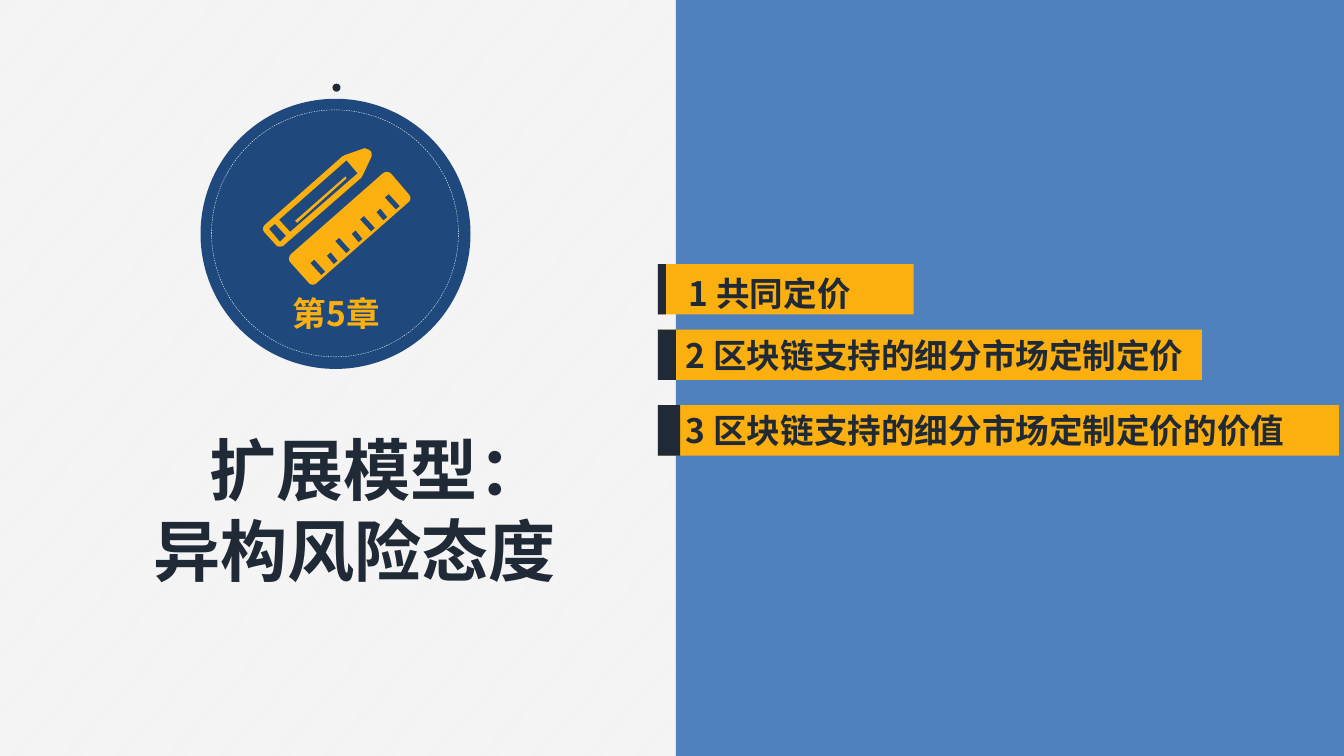
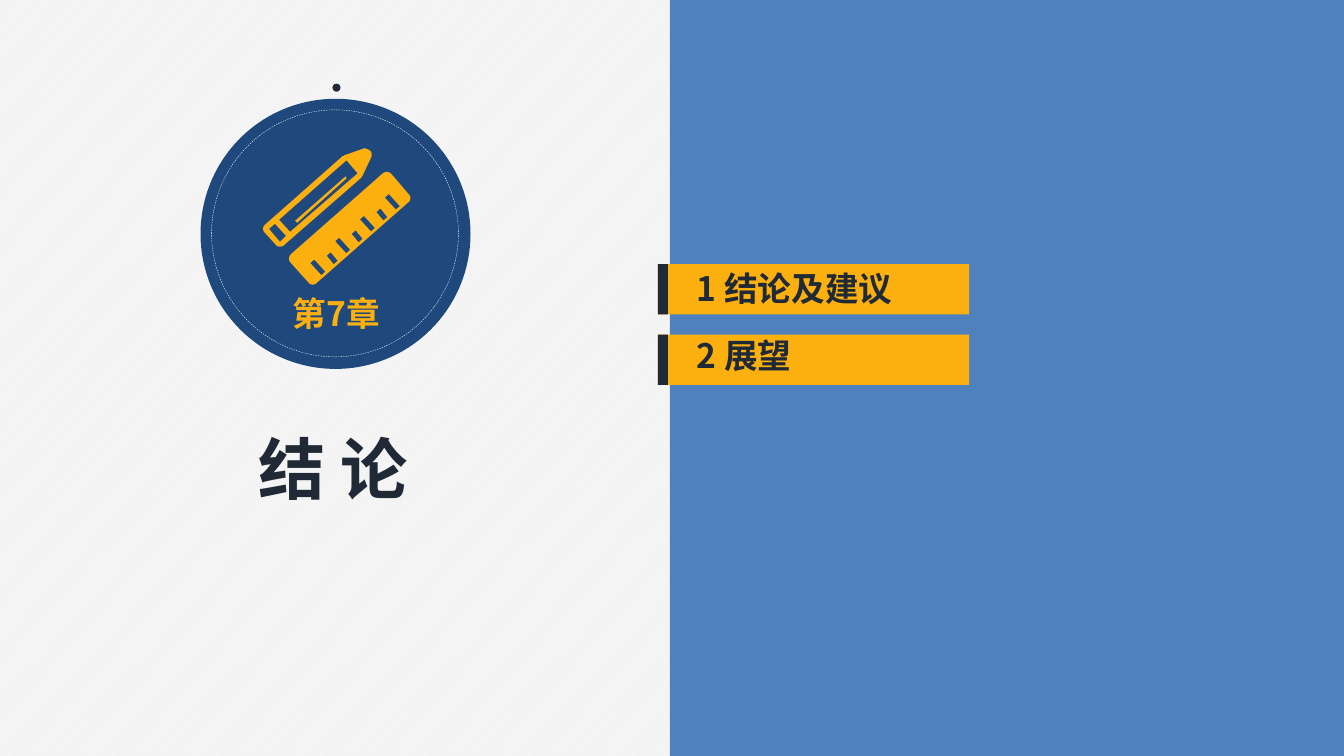
"""Build two chapter divider slides with a badge, a title and a list of topics."""
from dataclasses import dataclass

from lxml import etree
from pptx import Presentation
from pptx.dml.color import RGBColor
from pptx.enum.dml import MSO_LINE, MSO_PATTERN
from pptx.enum.shapes import MSO_SHAPE
from pptx.enum.text import MSO_ANCHOR, MSO_AUTO_SIZE, PP_ALIGN
from pptx.oxml.ns import qn
from pptx.util import Pt

RECT, OVAL = MSO_SHAPE.RECTANGLE, MSO_SHAPE.OVAL
LEFT, MID = PP_ALIGN.LEFT, PP_ALIGN.CENTER
TOP, CENTER = MSO_ANCHOR.TOP, MSO_ANCHOR.MIDDLE
DASH, STRIPE = MSO_LINE.DASH, MSO_PATTERN.LIGHT_UPWARD_DIAGONAL
FIXED = MSO_AUTO_SIZE.NONE
PX = 9144
WIDE, HIGH = 1334, 750
BAR_X, BAR_H = 653, 50
FINE = 10
STEPS = 6


@dataclass(frozen=True)
class Theme:
    """Colours, font and type sizes."""
    white: str = "FFFFFF"
    paper: str = "F2F2F2"
    blue: str = "4F81BD"
    navy: str = "1F497D"
    gold: str = "FCB00F"
    ink: str = "202A36"
    font: str = "Noto Sans CJK SC"
    head: int = 48
    body: int = 24


@dataclass(frozen=True)
class Topic:
    """One bar of the list, with its text place."""
    text: str
    top: int
    width: int
    tab: int
    text_x: int
    text_y: int


THEME = Theme()

PENCIL = [
    (274, 243), (263, 231), (260, 228, 261, 225, 263, 223), (340, 155),
    (341, 155, 342, 154, 342, 154), (362, 147),
    (364, 148, 366, 148, 368, 150), (369, 151, 369, 154, 369, 155),
    (360, 174), (359, 175, 359, 176, 359, 176), (281, 244),
    (279, 245, 275, 245, 274, 243),
]
RULER = [
    (306, 280), (288, 260), (286, 257, 287, 254, 289, 252), (380, 172),
    (383, 170, 385, 170, 388, 172), (406, 193),
    (408, 195, 408, 199, 405, 201), (314, 281),
    (312, 283, 308, 283, 306, 280),
]
BODY = [(355, 172), (344, 159), (277, 218), (288, 230)]
LEAD = [(295, 221), (293, 219), (343, 175), (344, 177)]
CAP = [(284, 234), (273, 222), (267, 227), (278, 240)]


def color(code):
    """Turn a hex code into a colour."""
    return RGBColor.from_string(code)


def emu(*sizes):
    """Turn px into EMU."""
    return [size * PX for size in sizes]


def shape(slide, kind, box, fill=None, line=None):
    """Add a flat preset shape."""
    item = slide.shapes.add_shape(kind, *emu(*box))
    paint(item, fill, line)
    return item


def paint(item, fill, line=None):
    """Set the fill and the line of a shape, without shadow."""
    item.shadow.inherit = False
    if fill:
        item.fill.solid()
        item.fill.fore_color.rgb = color(fill)
    else:
        item.fill.background()
    if line:
        item.line.color.rgb = color(line)
        item.line.width = Pt(0.25)
        item.line.dash_style = DASH
    else:
        item.line.fill.background()


def write(frame, text, size, tint, align=LEFT, anchor=TOP):
    """Fill a text frame with bold text."""
    frame.text = text
    frame.word_wrap = False
    frame.auto_size = FIXED
    frame.vertical_anchor = anchor
    frame.margin_left = frame.margin_right = 10 * PX
    frame.margin_top = frame.margin_bottom = 5 * PX
    for para in frame.paragraphs:
        para.alignment = align
        font = para.font
        font.size, font.bold = Pt(size), True
        font.color.rgb = color(tint)
        font.name = THEME.font
        asian = etree.SubElement(font._element, qn("a:ea"))
        asian.set("typeface", THEME.font)


def label(slide, box, text, tint, **style):
    """Add a text box in body size."""
    frame = slide.shapes.add_textbox(*emu(*box)).text_frame
    write(frame, text, THEME.body, tint, **style)


def title(slide, box, text):
    """Place the title, only its first line set off to the right."""
    item = slide.shapes.title
    item.left, item.top, item.width, item.height = emu(*box)
    write(item.text_frame, text, THEME.head, THEME.ink, align=MID)
    for index, para in enumerate(item.text_frame.paragraphs):
        props = para._p.get_or_add_pPr()
        props.set("marL", str(0 if index else 45 * PX))
        props.set("indent", "0")


def trace(path):
    """Turn corners and cubic curves into points."""
    points = []
    for part in path:
        if len(part) == 2:
            points.append(part)
            continue
        nodes = [points[-1], part[:2], part[2:4], part[4:]]
        for step in range(1, STEPS + 1):
            t = step / STEPS
            u = 1 - t
            mix = (u ** 3, 3 * u * u * t, 3 * u * t * t, t ** 3)
            points.append(tuple(
                sum(m * node[axis] for m, node in zip(mix, nodes))
                for axis in (0, 1)))
    return [(round(x * FINE), round(y * FINE)) for x, y in points]


def tick(index):
    """Outline one mark of the ruler, long and short by turns."""
    x, y = 319 + 12.33 * index, 273 - 10.83 * index
    dx, dy = (7, 8.5) if index % 2 else (11, 12)
    return [(x, y), (x - dx, y - dy),
            (x - dx + 4, y - dy - 3.5), (x + 4, y - 3.5)]


def tools(slide):
    """Draw the pencil and the ruler as one outline with holes."""
    paths = [PENCIL, BODY, LEAD, CAP, RULER] + [tick(i) for i in range(7)]
    pen = None
    for path in paths:
        start, *rest = trace(path)
        if pen is None:
            pen = slide.shapes.build_freeform(*start, scale=PX / FINE)
        else:
            pen.move_to(*start)
        pen.add_line_segments(rest, close=True)
    paint(pen.convert_to_shape(), THEME.gold)


def badge(slide, text):
    """Draw the round chapter badge."""
    shape(slide, OVAL, (199, 98, 268, 268), THEME.navy)
    shape(slide, OVAL, (330, 83, 8, 8), THEME.ink)
    shape(slide, OVAL, (210, 109, 245, 245), line=THEME.white)
    tools(slide)
    label(slide, (204, 285, 260, 52), text, THEME.gold,
          align=MID, anchor=CENTER)


def bar(slide, topic):
    """Draw one topic bar with its dark tab."""
    for width, fill in ((topic.width, THEME.gold), (topic.tab, THEME.ink)):
        shape(slide, RECT, (BAR_X, topic.top, width, BAR_H), fill)
    width = BAR_X + topic.width - topic.text_x
    label(slide, (topic.text_x, topic.text_y, width, BAR_H),
          topic.text, THEME.ink)


def chapter(deck, name, head, box, split, topics):
    """Add one chapter slide."""
    slide = deck.slides.add_slide(deck.slide_layouts[5])
    title(slide, box, head)
    shape(slide, RECT, (split, 0, WIDE - split, HIGH), THEME.blue)
    badge(slide, name)
    for topic in topics:
        bar(slide, topic)


def main():
    """Build and save the deck."""
    deck = Presentation()
    deck.slide_width, deck.slide_height = emu(WIDE, HIGH)
    fill = deck.slide_master.background.fill
    fill.patterned()
    fill.pattern = STRIPE
    fill.fore_color.rgb = color(THEME.white)
    fill.back_color.rgb = color(THEME.paper)
    chapter(deck, "第5章", "扩展模型：\n异构风险态度", (92, 420, 520, 172), 671, [
        Topic("1 共同定价", 262, 254, 8, 674, 266),
        Topic("2 区块链支持的细分市场定制定价", 327, 540, 18, 671, 327),
        Topic("3 区块链支持的细分市场定制定价的价值", 402, 676, 22, 671, 402),
    ])
    chapter(deck, "第7章", "结 论", (188, 419, 240, 91), 665, [
        Topic("1 结论及建议", 262, 309, 10, 682, 261),
        Topic("2 展望", 332, 309, 10, 682, 327),
    ])
    deck.save("out.pptx")


if __name__ == "__main__":
    main()
